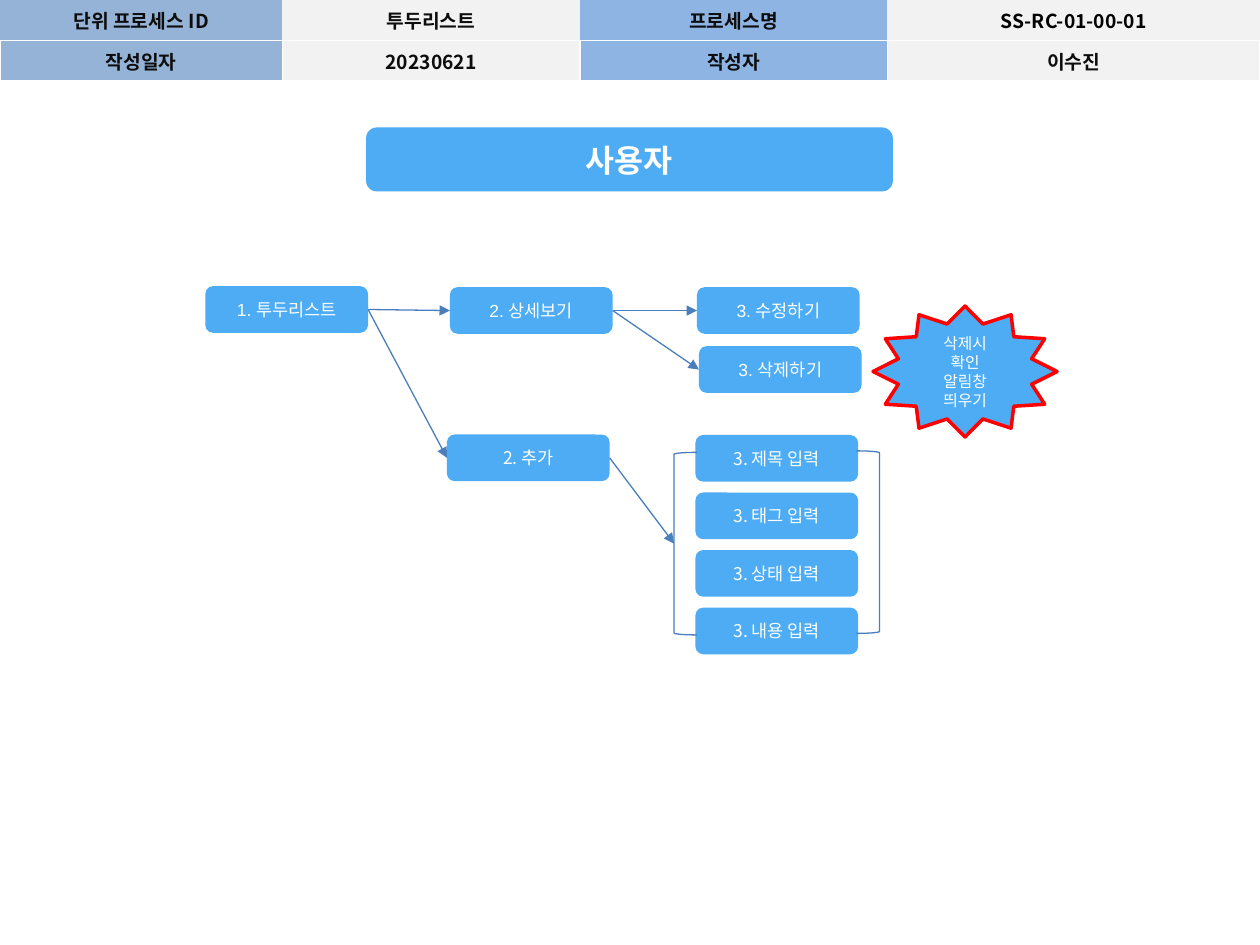
from dataclasses import dataclass

from lxml import etree
from pptx import Presentation
from pptx.dml.color import RGBColor
from pptx.enum.shapes import MSO_CONNECTOR, MSO_SHAPE
from pptx.enum.text import MSO_ANCHOR, PP_ALIGN
from pptx.oxml.ns import qn
from pptx.util import Cm, Pt

ROUNDED = MSO_SHAPE.ROUNDED_RECTANGLE
STAR = MSO_SHAPE.STAR_12_POINT
LEFT_BRACKET = MSO_SHAPE.LEFT_BRACKET
RIGHT_BRACKET = MSO_SHAPE.RIGHT_BRACKET
STRAIGHT = MSO_CONNECTOR.STRAIGHT
CENTER = PP_ALIGN.CENTER
MIDDLE = MSO_ANCHOR.MIDDLE

LEFT_SIDE, RIGHT_SIDE = 1, 3
KOREAN = "Noto Sans CJK KR"
LATIN = "Arial"
BLUE, LINE_BLUE, RED = "4DACF3", "4B7EBC", "FF0000"
WHITE, BLACK, INK = "FFFFFF", "000000", "0D0D0D"
LABEL_BLUE, LABEL_SKY, VALUE_GRAY = "95B3D7", "8EB4E3", "F2F2F2"

STEP_WIDTH, STEP_HEIGHT = 3.28, 0.94
INPUT_LEFT, INPUT_TOP, INPUT_PITCH = 14.02, 8.77, 1.16


@dataclass
class Box:
    """A labelled shape; lengths are in centimetres."""
    text: str
    left: float
    top: float
    width: float = STEP_WIDTH
    height: float = STEP_HEIGHT
    font: str = KOREAN
    size: float = 10
    bold: bool = False
    kind: int = ROUNDED
    outline: str = ""


TITLE = Box("사용자", 7.38, 2.57, 10.62, 1.29, font=LATIN, size=18, bold=True)
STEPS = {
    "list": Box("1. 투두리스트", 4.14, 5.77, font=LATIN),
    "detail": Box("2. 상세보기", 9.07, 5.79, font=LATIN),
    "add": Box("2. 추가", 9.01, 8.76),
    "edit": Box("3. 수정하기", 14.05, 5.79, font=LATIN),
    "delete": Box("3. 삭제하기", 14.09, 6.98, font=LATIN),
}
INPUTS = ["3. 제목 입력", "3. 태그 입력", "3. 상태 입력", "3. 내용 입력"]
DELETE_NOTE = Box("삭제시\v확인 알림창 띄우기", 17.6, 6.17, 3.71, 2.64,
                  size=9, kind=STAR, outline=RED)
FLOWS = [("list", "detail"), ("list", "add"), ("detail", "edit"),
         ("detail", "delete"), ("add", "inputs")]

HEADER = [
    ["단위 프로세스 ID", "투두리스트", "프로세스명", "SS-RC-01-00-01"],
    ["작성일자", "20230621", "작성자", "이수진"],
]
HEADER_WIDTHS = [5.69, 6, 6.2, 7.51]
HEADER_FILLS = [LABEL_BLUE, VALUE_GRAY, LABEL_SKY, VALUE_GRAY]
HEADER_ROW_HEIGHT = 0.81


def paint(color_format, color: str) -> None:
    color_format.rgb = RGBColor.from_string(color)


def fill_solid(target, color: str) -> None:
    target.fill.solid()
    paint(target.fill.fore_color, color)


def write_text(frame, text: str, *, font: str = KOREAN, size: float = 10,
               color: str = WHITE, bold: bool = False) -> None:
    frame.word_wrap = True
    paragraph = frame.paragraphs[0]
    paragraph.text = text
    paragraph.alignment = CENTER
    for run in paragraph.runs:
        run.font.size = Pt(size)
        run.font.bold = bold
        paint(run.font.color, color)
        run.font.name = font
        latin = run.font._element.find(qn("a:latin"))
        east_asian = etree.Element(qn("a:ea"), typeface=KOREAN)
        latin.addnext(east_asian)


def draw_box(slide, box: Box):
    shape = slide.shapes.add_shape(box.kind, Cm(box.left), Cm(box.top),
                                   Cm(box.width), Cm(box.height))
    shape.shadow.inherit = False
    fill_solid(shape, box.fill if hasattr(box, "fill") else BLUE)
    if box.outline:
        paint(shape.line.color, box.outline)
        shape.line.width = Pt(2)
    else:
        shape.line.fill.background()
    shape.text_frame.vertical_anchor = MIDDLE
    write_text(shape.text_frame, box.text, font=box.font, size=box.size,
               bold=box.bold)
    return shape


def draw_bracket(slide, kind: int, left: float, top: float):
    bracket = slide.shapes.add_shape(kind, Cm(left), Cm(top), Cm(0.46), Cm(3.68))
    bracket.shadow.inherit = False
    bracket.fill.background()
    paint(bracket.line.color, LINE_BLUE)
    bracket.line.width = Pt(0.75)
    return bracket


def draw_arrow(slide, source, target) -> None:
    """Join the right side of source to the left side of target."""
    arrow = slide.shapes.add_connector(STRAIGHT, 0, 0, 0, 0)
    arrow.begin_connect(source, RIGHT_SIDE)
    arrow.end_connect(target, LEFT_SIDE)
    paint(arrow.line.color, LINE_BLUE)
    arrow.line.width = Pt(0.75)
    properties = arrow._element.spPr
    etree.SubElement(properties.find(qn("a:ln")), qn("a:tailEnd"), type="triangle")
    etree.SubElement(properties, qn("a:effectLst"))


def set_borders(cell, visible: str) -> None:
    """Draw white lines on the sides named in visible, none on the others."""
    properties = cell._tc.get_or_add_tcPr()
    for side in "LRTB":
        border = etree.SubElement(properties, qn(f"a:ln{side}"), w=str(Pt(1)))
        if side in visible:
            solid = etree.SubElement(border, qn("a:solidFill"))
            etree.SubElement(solid, qn("a:srgbClr"), val=WHITE)
        else:
            etree.SubElement(border, qn("a:noFill"))


def draw_header(slide) -> None:
    table = slide.shapes.add_table(
        len(HEADER), len(HEADER_WIDTHS), 0, 0, Cm(sum(HEADER_WIDTHS)),
        Cm(HEADER_ROW_HEIGHT * len(HEADER))).table
    table.first_row = table.horz_banding = False
    for column, width in zip(table.columns, HEADER_WIDTHS):
        column.width = Cm(width)
    for row_index, texts in enumerate(HEADER):
        table.rows[row_index].height = Cm(HEADER_ROW_HEIGHT)
        for column_index, text in enumerate(texts):
            cell = table.cell(row_index, column_index)
            set_borders(cell, "LRTB" if row_index else "B")
            fill_solid(cell, HEADER_FILLS[column_index])
            cell.vertical_anchor = MIDDLE
            is_code = text.startswith("SS-")
            write_text(cell.text_frame, text, size=11, bold=True,
                       color=BLACK if is_code else INK)


def main() -> None:
    presentation = Presentation()
    presentation.slide_width = Cm(25.4)
    presentation.slide_height = Cm(19.05)
    blank_layout = presentation.slide_layouts[6]
    slide = presentation.slides.add_slide(blank_layout)

    draw_header(slide)
    draw_box(slide, TITLE)
    stages = {key: draw_box(slide, step) for key, step in STEPS.items()}
    for index, text in enumerate(INPUTS):
        draw_box(slide, Box(text, INPUT_LEFT, INPUT_TOP + index * INPUT_PITCH))
    draw_box(slide, DELETE_NOTE)
    stages["inputs"] = draw_bracket(slide, LEFT_BRACKET, 13.59, 9.12)
    draw_bracket(slide, RIGHT_BRACKET, 17.27, 9.09)
    for source, target in FLOWS:
        draw_arrow(slide, stages[source], stages[target])

    presentation.save("out.pptx")


if __name__ == "__main__":
    main()
